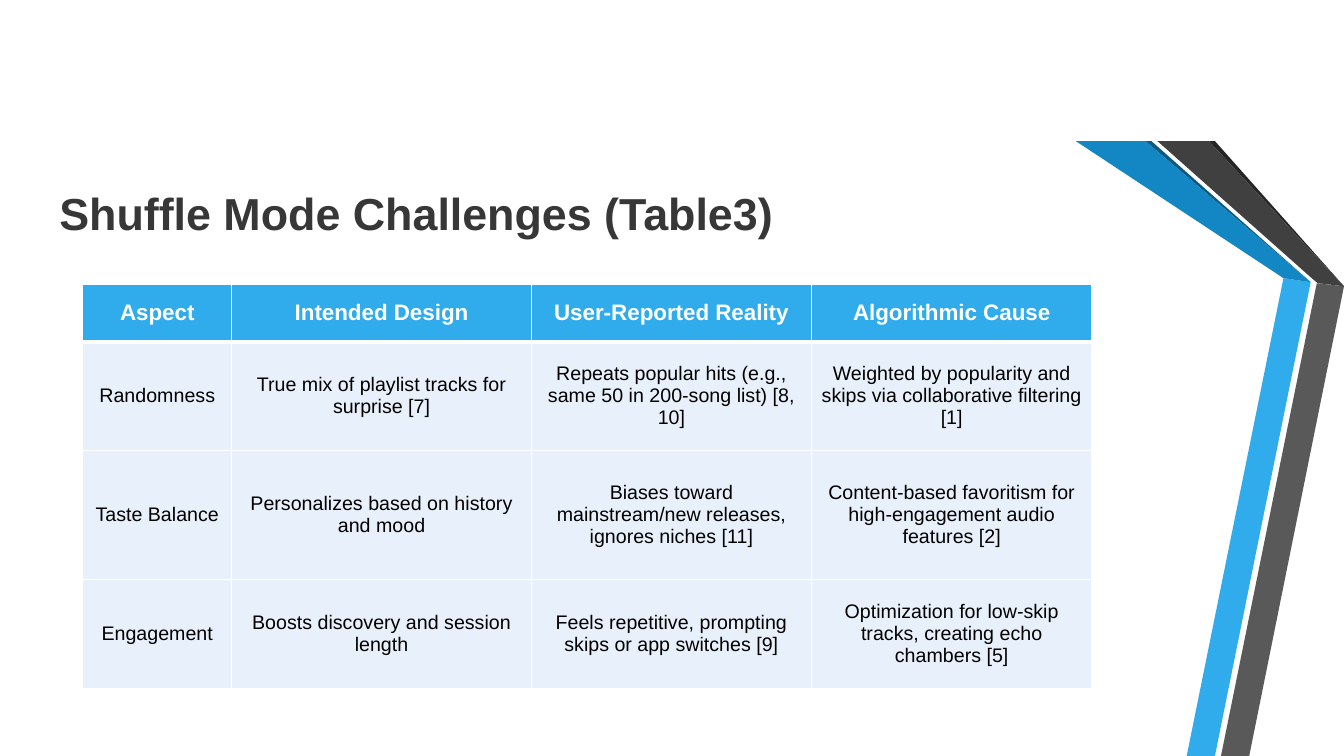
from dataclasses import dataclass

from lxml import etree
from pptx import Presentation
from pptx.dml.color import RGBColor as RGB
from pptx.enum.text import MSO_ANCHOR as ANCHOR, PP_ALIGN as ALIGN
from pptx.oxml.ns import qn
from pptx.util import Inches, Pt


@dataclass(frozen=True)
class Theme:
    font: str = "Arial"
    title: str = "373737"
    white: str = "FFFFFF"
    black: str = "000000"
    blue: str = "30ACEC"
    blue_mid: str = "1287C3"
    blue_dark: str = "0C5A82"
    gray: str = "595959"
    gray_mid: str = "404040"
    gray_dark: str = "262626"
    body_fill: str = "E8F1FB"
    title_size: int = 32
    head_size: int = 16
    body_size: int = 14


class SlideBuilder:
    def __init__(self, slide, theme):
        self.s, self.theme = slide, theme

    def style(self, p, size, color, bold):
        fmt = {"name": self.theme.font, "size": Pt(size), "bold": bold}
        for r in p.runs:
            for key, value in fmt.items():
                setattr(r.font, key, value)
            r.font.color.rgb = RGB.from_string(color)

    def band(self, points, color):
        start, *rest = [(Inches(x), Inches(y)) for x, y in points]
        fb = self.s.shapes.build_freeform(*start)
        fb.add_line_segments(rest, close=True)
        sp = fb.convert_to_shape()
        sp.shadow.inherit = False
        sp.fill.solid()
        sp.fill.fore_color.rgb = RGB.from_string(color)
        sp.line.fill.background()

    def title(self, text, box):
        sp = self.s.shapes.add_textbox(*map(Inches, box))
        tf = sp.text_frame
        tf.word_wrap = True
        p = tf.paragraphs[0]
        p.text = text
        self.style(p, self.theme.title_size, self.theme.title, True)

    def border(self, cell, widths):
        tc_pr = cell._tc.get_or_add_tcPr()
        for i, (side, width) in enumerate(widths.items()):
            ln = etree.Element(qn(f"a:ln{side}"), w=str(Pt(width)))
            fill = etree.SubElement(ln, qn("a:solidFill"))
            etree.SubElement(fill, qn("a:srgbClr"), val=self.theme.white)
            tc_pr.insert(i, ln)

    def cell(self, cell, text, row):
        t = self.theme
        head = row == 0
        fmt = {"vertical_anchor": ANCHOR.MIDDLE,
               "margin_left": Inches(0.07), "margin_right": Inches(0.07),
               "margin_top": 0, "margin_bottom": 0}
        for key, value in fmt.items():
            setattr(cell, key, value)
        cell.fill.solid()
        cell.fill.fore_color.rgb = RGB.from_string(t.blue if head else t.body_fill)
        p = cell.text_frame.paragraphs[0]
        p.text = text
        p.alignment = ALIGN.CENTER
        if head:
            self.style(p, t.head_size, t.white, True)
        else:
            self.style(p, t.body_size, t.black, False)
        # A thicker rule parts the header from the body
        self.border(cell, {"L": 1, "R": 1, "T": 3 if row == 1 else 1,
                           "B": 3 if head else 1})

    def table(self, rows, left, top, widths, heights):
        frame = self.s.shapes.add_table(
            len(rows), len(widths), Inches(left), Inches(top),
            Inches(sum(widths)), Inches(sum(heights)))
        tbl = frame.table
        for col, width in zip(tbl.columns, widths):
            col.width = Inches(width)
        for row, height in zip(tbl.rows, heights):
            row.height = Inches(height)
        for i, texts in enumerate(rows):
            for j, text in enumerate(texts):
                self.cell(tbl.cell(i, j), text, i)


CHALLENGES = [
    ("Aspect", "Intended Design", "User-Reported Reality", "Algorithmic Cause"),
    ("Randomness", "True mix of playlist tracks for surprise [7]",
     "Repeats popular hits (e.g., same 50 in 200-song list) [8, 10]",
     "Weighted by popularity and skips via collaborative filtering [1]"),
    ("Taste Balance", "Personalizes based on history and mood",
     "Biases toward mainstream/new releases, ignores niches [11]",
     "Content-based favoritism for high-engagement audio features [2]"),
    ("Engagement", "Boosts discovery and session length",
     "Feels repetitive, prompting skips or app switches [9]",
     "Optimization for low-skip tracks, creating echo chambers [5]"),
]


def main():
    prs = Presentation()
    prs.slide_width, prs.slide_height = Inches(13.33), Inches(7.5)
    theme = Theme()
    builder = SlideBuilder(prs.slides.add_slide(prs.slide_layouts[6]), theme)

    # Folded ribbons on the right: lower legs, fold shadows, upper arms
    ribbons = [
        ([(13, 2.8), (12.73, 2.76), (11.77, 7.5), (12.05, 7.5)], theme.blue),
        ([(12.11, 7.5), (12.39, 7.5), (13.33, 2.84), (13.06, 2.81)], theme.gray),
        ([(13.33, 2.84), (12.05, 1.4), (11.99, 1.4)], theme.gray_dark),
        ([(13, 2.8), (11.42, 1.4), (11.36, 1.4)], theme.blue_dark),
        ([(13, 2.8), (11.36, 1.4), (10.67, 1.4), (12.73, 2.76)], theme.blue_mid),
        ([(11.48, 1.4), (13.01, 2.76), (13.07, 2.81), (13.33, 2.84),
          (11.99, 1.4)], theme.gray_mid),
    ]
    for points, color in ribbons:
        builder.band(points, color)

    # Title and comparison table
    builder.title("Shuffle Mode Challenges (Table3)", (0.49, 1.79, 9.04, 0.64))
    builder.table(CHALLENGES, 0.82, 2.82,
                  widths=(1.48, 2.97, 2.78, 2.78),
                  heights=(0.57, 1.08, 1.28, 1.08))

    prs.save("out.pptx")


if __name__ == "__main__":
    main()
